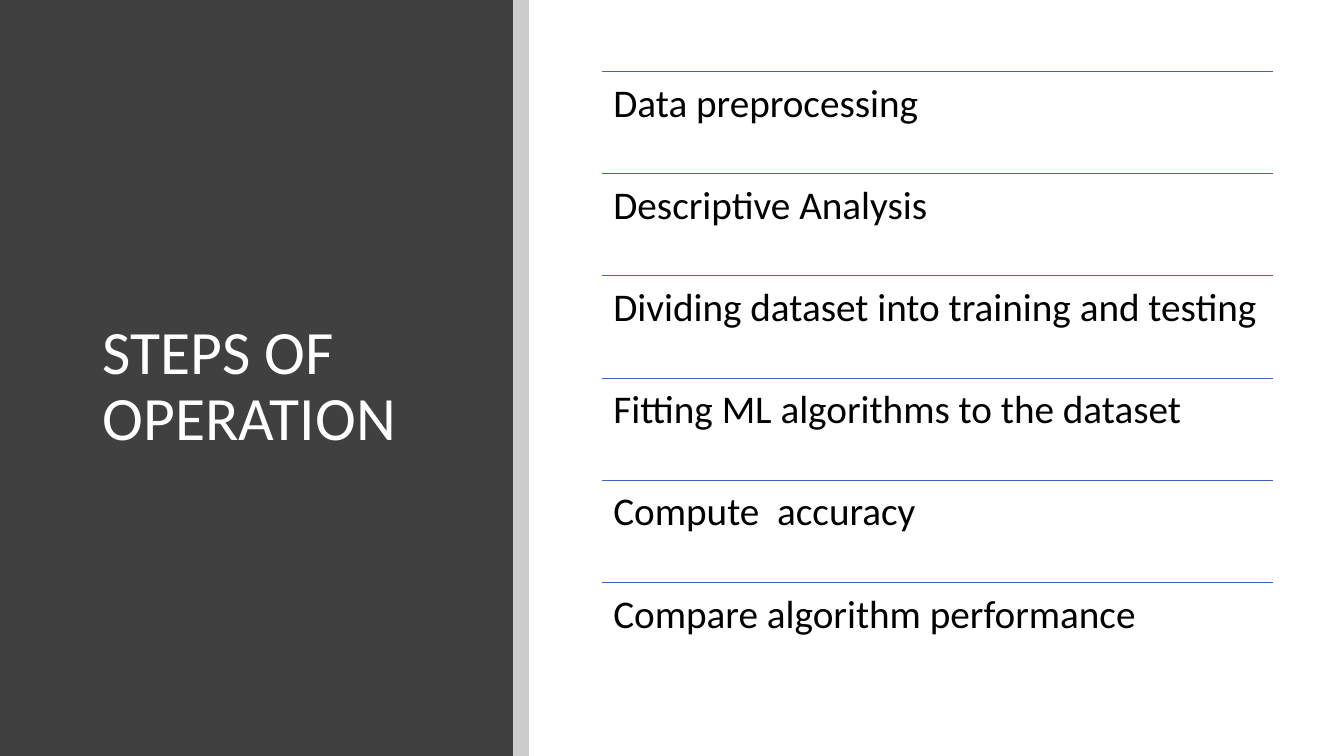
from dataclasses import dataclass

from lxml.etree import SubElement
from pptx import Presentation
from pptx.dml.color import RGBColor as RGB
from pptx.enum.shapes import MSO_CONNECTOR as Connector, MSO_SHAPE as Preset
from pptx.enum.text import MSO_ANCHOR as Anchor, MSO_AUTO_SIZE as AutoSize, PP_ALIGN as Align
from pptx.oxml.ns import qn
from pptx.util import Cm, Pt


@dataclass(frozen=True)
class Theme:
    font: str = "Calibri"
    panel: RGB = RGB(0x40, 0x40, 0x40)
    strip: RGB = RGB(0, 0, 0)
    rule: RGB = RGB(0x3E, 0x67, 0xB2)
    heading: RGB = RGB(0xFF, 0xFF, 0xFF)
    body: RGB = RGB(0, 0, 0)
    heading_size: Pt = Pt(44)
    body_size: Pt = Pt(28)
    rule_width: Pt = Pt(0.5)
    line_spacing: float = 0.9


class SlideBuilder:
    def __init__(self, slide, theme):
        self.slide, self.theme = slide, theme

    def set_text(self, frame, text, size, color, anchor):
        frame.word_wrap = True
        frame.auto_size = AutoSize.NONE
        frame.vertical_anchor = anchor
        paragraph = frame.paragraphs[0]
        paragraph.text = text
        paragraph.alignment = Align.LEFT
        paragraph.line_spacing = self.theme.line_spacing
        font = paragraph.font
        font.name, font.size, font.color.rgb = self.theme.font, size, color

    def title(self, text, left, top, width, height):
        heading = self.slide.shapes.title
        heading.left, heading.top, heading.width, heading.height = left, top, width, height
        self.set_text(heading.text_frame, text, self.theme.heading_size,
                      self.theme.heading, Anchor.MIDDLE)
        # Bring the heading in front of the panel
        heading.element.getparent().append(heading.element)

    def band(self, left, width, height, color, opacity=100):
        band = self.slide.shapes.add_shape(Preset.RECTANGLE, left, 0, width, height)
        band.shadow.inherit = False
        band.line.fill.background()
        band.fill.solid()
        band.fill.fore_color.rgb = color
        if opacity < 100:
            tint = band.element.spPr.find(qn("a:solidFill"))[0]
            SubElement(tint, qn("a:alpha"), val=str(opacity * 1000))

    def rule(self, left, top, width):
        rule = self.slide.shapes.add_connector(
            Connector.STRAIGHT, left, top, left + width, top)
        rule.line.color.rgb = self.theme.rule
        rule.line.width = self.theme.rule_width
        SubElement(rule.element.spPr, qn("a:effectLst"))

    def text(self, text, left, top, width, height, inset):
        frame = self.slide.shapes.add_textbox(left, top, width, height).text_frame
        frame.margin_left = frame.margin_right = inset
        frame.margin_top = frame.margin_bottom = inset
        self.set_text(frame, text, self.theme.body_size, self.theme.body, Anchor.TOP)


STEPS = [
    "Data preprocessing",
    "Descriptive Analysis",
    "Dividing dataset into training and testing",
    "Fitting ML algorithms to the dataset",
    "Compute  accuracy",
    "Compare algorithm performance",
]

deck = Presentation()
deck.slide_width, deck.slide_height = Cm(33.87), Cm(19.05)
theme = Theme()
TITLE_ONLY = 5
builder = SlideBuilder(deck.slides.add_slide(deck.slide_layouts[TITLE_ONLY]), theme)

# Dark side panel with its edge strip and heading
panel_width = Cm(12.93)
builder.band(0, panel_width, deck.slide_height, theme.panel)
builder.band(panel_width, Cm(0.4), deck.slide_height, theme.strip, opacity=20)
builder.title("STEPS OF OPERATION", Cm(2.34), Cm(2.26), Cm(9.27), Cm(15.01))

# Steps in equal rows, each under a rule
steps_left, steps_top, steps_width = Cm(15.16), Cm(1.8), Cm(16.92)
row_height = Cm(15.45) // len(STEPS)
for row, step in enumerate(STEPS):
    row_top = steps_top + row * row_height
    builder.rule(steps_left, row_top, steps_width)
    builder.text(step, steps_left, row_top, steps_width, row_height, inset=Cm(0.3))

deck.save("out.pptx")
